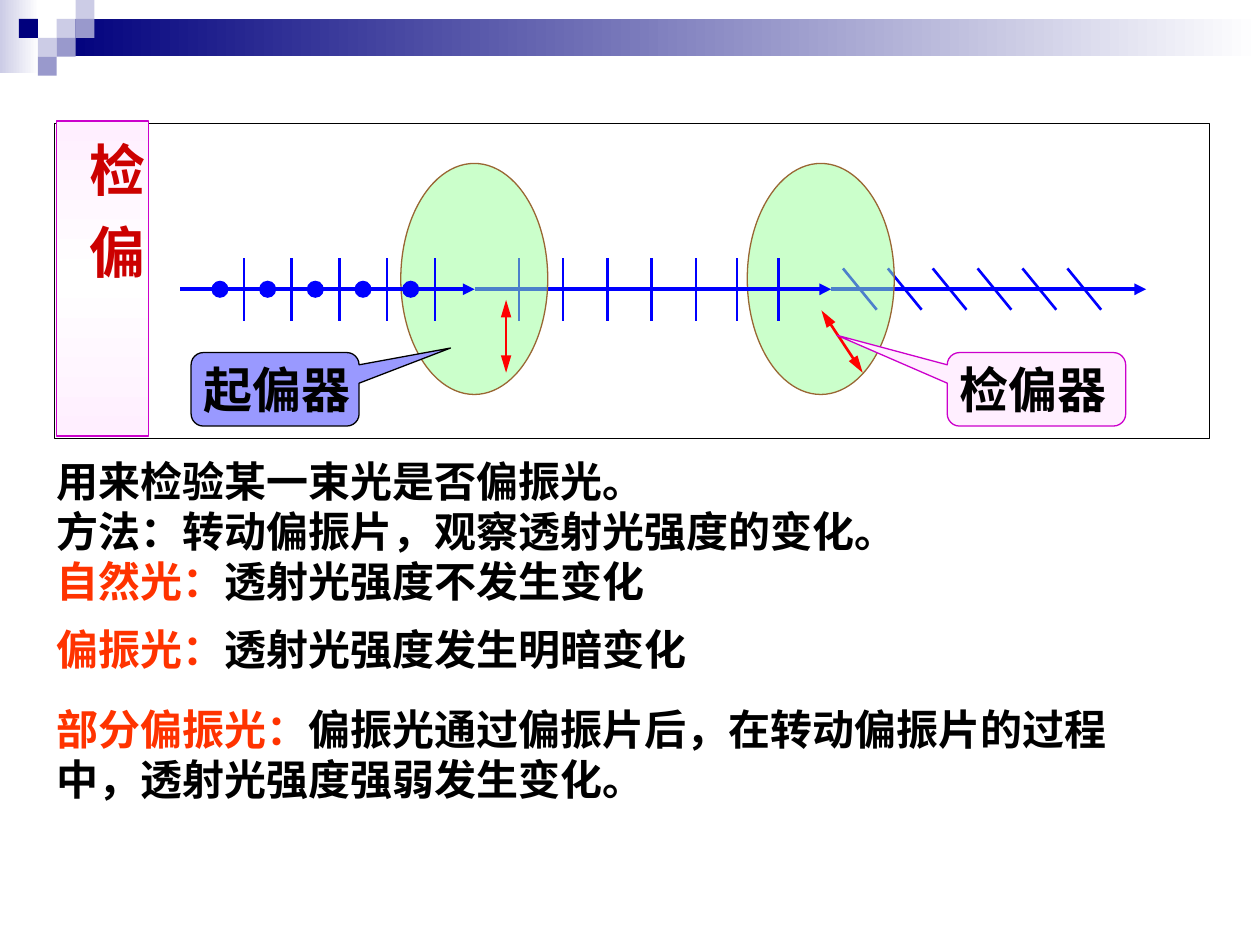
from lxml.etree import SubElement
from pptx import Presentation
from pptx.dml.color import RGBColor
from pptx.enum.shapes import MSO_CONNECTOR, MSO_SHAPE
from pptx.enum.text import MSO_ANCHOR, PP_ALIGN
from pptx.oxml.ns import qn
from pptx.util import Pt

BLACK = RGBColor(0x00, 0x00, 0x00)
WHITE = RGBColor(0xFF, 0xFF, 0xFF)
NAVY = RGBColor(0x00, 0x00, 0x7D)
MID = RGBColor(0x99, 0x99, 0xCC)
PALE = RGBColor(0xCC, 0xCC, 0xE6)
BLUE = RGBColor(0x00, 0x00, 0xFF)
RED = RGBColor(0xFF, 0x00, 0x00)
CRIMSON = RGBColor(0xCC, 0x00, 0x00)
ORANGE = RGBColor(0xFF, 0x33, 0x00)
GREEN = RGBColor(0x99, 0xFF, 0x99)
BROWN = RGBColor(0x99, 0x66, 0x33)
PINK = RGBColor(0xFF, 0xEF, 0xFF)
PURPLE = RGBColor(0xCC, 0x00, 0xCC)
LILAC = RGBColor(0x99, 0x99, 0xFF)

AXIS = 165.3  # height of the light ray


def set_all(item, values):
    for key, value in values.items():
        setattr(item, key, value)


def add_form(slide, kind, box, fill=None, line=None):
    form = slide.shapes.add_shape(kind, *map(Pt, box))
    form.shadow.inherit = False
    if fill is not None:
        form.fill.solid()
        form.fill.fore_color.rgb = fill
    if line is None:
        form.line.fill.background()
    else:
        form.line.color.rgb = line
        form.line.width = Pt(0.75)
    return form


def blend(form, colours, angle=0):
    """Fill with evenly spaced gradient stops."""
    form.fill.gradient()
    form.fill.gradient_angle = angle
    stops = form.fill._fill._gradFill.find(qn("a:gsLst"))
    for stop in list(stops):
        stops.remove(stop)
    for i, colour in enumerate(colours):
        pos = str(100000 * i // (len(colours) - 1))
        stop = SubElement(stops, qn("a:gs"), pos=pos)
        SubElement(stop, qn("a:srgbClr"), val=str(colour))


def add_line(slide, start, end, colour=BLUE, width=1.5, heads=(), size="med"):
    line = slide.shapes.add_connector(
        MSO_CONNECTOR.STRAIGHT, *map(Pt, (*start, *end)))
    line.line.color.rgb = colour
    line.line.width = Pt(width)
    for head in heads:
        SubElement(line.line._get_or_add_ln(), qn(f"a:{head}"),
                   type="triangle", w="med", len=size)
    SubElement(line._element.spPr, qn("a:effectLst"))


def add_ray(slide, left, right):
    add_line(slide, (left, AXIS), (right, AXIS), width=2.25, heads=["tailEnd"])


def add_ticks(slide, places):
    for x in places:
        add_line(slide, (x, 147.5), (x, 183.5))


def add_lens(slide, left):
    lens = add_form(slide, MSO_SHAPE.OVAL, (left, 93.4, 84, 132), GREEN, BROWN)
    colour = lens.fill._fill._solidFill.find(qn("a:srgbClr"))
    SubElement(colour, qn("a:alpha"), val="50000")


def add_swing(slide, start, end):
    add_line(slide, start, end, RED, heads=("headEnd", "tailEnd"), size="lg")


def add_run(par, text, colour, size):
    run = par.add_run()
    run.text = text
    set_all(run.font, {"name": "Times New Roman", "size": Pt(size), "bold": True})
    run.font.color.rgb = colour
    return run


def add_call(slide, text, left, width, tip, fill, line):
    call = add_form(slide, MSO_SHAPE.ROUNDED_RECTANGULAR_CALLOUT,
                    (left, 201.5, width, 42), fill, line)
    for i, value in enumerate(tip):
        call.adjustments[i] = value
    frame = call.text_frame
    set_all(frame, {"margin_left": Pt(5), "margin_right": 0, "margin_top": 0,
                    "margin_bottom": 0, "vertical_anchor": MSO_ANCHOR.MIDDLE})
    frame.paragraphs[0].alignment = PP_ALIGN.LEFT
    add_run(frame.paragraphs[0], text, BLACK, 28)


def add_text(slide, box, rows):
    """Add one paragraph per row; each row is a list of (text, colour)."""
    frame = slide.shapes.add_textbox(*map(Pt, box)).text_frame
    frame.word_wrap = True
    for i, row in enumerate(rows):
        par = frame.add_paragraph() if i else frame.paragraphs[0]
        for text, colour in row:
            add_run(par, text, colour, 24)


def add_banner(slide):
    blend(add_form(slide, MSO_SHAPE.RECTANGLE, (0, 0, 22.3, 41.8)), (PALE, WHITE))
    blend(add_form(slide, MSO_SHAPE.RECTANGLE, (32.4, 10.8, 687.6, 21.4)),
          (NAVY, WHITE))
    tiles = [(3, 1, PALE), (4, 0, PALE), (4, 1, MID), (2, 2, PALE),
             (1, 1, NAVY), (3, 2, MID), (2, 3, MID)]
    for col, row, colour in tiles:
        add_form(slide, MSO_SHAPE.RECTANGLE,
                 (10.8 * col, 10.8 * row, 10.8, 10.8), colour)


def add_label(slide):
    """Add the upright heading at the left of the diagram."""
    label = add_form(slide, MSO_SHAPE.RECTANGLE, (32.4, 69.2, 52.6, 180),
                     line=PURPLE)
    blend(label, (PINK, WHITE, PINK), 270)
    frame = label.text_frame
    set_all(frame, {"margin_left": 0, "margin_right": 0, "margin_top": Pt(12),
                    "margin_bottom": Pt(3), "vertical_anchor": MSO_ANCHOR.TOP})
    frame._txBody.bodyPr.set("vert", "eaVert")
    par = frame.paragraphs[0]
    par.alignment = PP_ALIGN.CENTER
    first = add_run(par, "检", CRIMSON, 32)
    first._r.get_or_add_rPr().set("spc", "1500")
    add_run(par, "偏", CRIMSON, 32)


def add_scheme(slide):
    add_form(slide, MSO_SHAPE.RECTANGLE, (31, 70.6, 660, 180), WHITE, BLACK)
    add_ray(slide, 475, 655)
    for i in range(6):
        x = 481.7 + 25.65 * i
        add_line(slide, (x, 153.4), (x + 19.3, 177))
    add_lens(slide, 427)
    add_swing(slide, (493, 213), (469.4, 177.4))
    add_call(slide, "检偏器", 541.3, 102, (-1.118, -0.735), PINK, PURPLE)
    add_label(slide)
    add_ray(slide, 271.2, 475)
    add_ticks(slide, [296.5 + 25.3 * i for i in range(5)] + [421.2, 445])
    add_lens(slide, 229)
    add_swing(slide, (289.2, 213), (289.2, 171.4))
    add_ray(slide, 103, 271.2)
    add_ticks(slide, [139.5 + 27.25 * i for i in range(5)])
    for i in range(5):
        add_form(slide, MSO_SHAPE.OVAL, (121.2 + 27.25 * i, 160.8, 9, 9),
                 BLUE, BLUE)
    add_call(slide, "起偏器", 109.2, 96, (1.044, -0.562), LILAC, BLACK)


def main():
    deck = Presentation()
    set_all(deck, {"slide_width": Pt(720), "slide_height": Pt(540)})
    slide = deck.slides.add_slide(deck.slide_layouts[6])
    add_banner(slide)
    add_text(slide, (25.4, 256.5, 646.6, 93.6), [
        [("用来检验某一束光是否偏振光。", BLACK)],
        [("方法：转动偏振片，观察透射光强度的变化。", BLACK)],
        [("自然光：", ORANGE), ("透射光强度不发生变化", BLACK)]])
    add_scheme(slide)
    add_text(slide, (25.4, 353, 521.3, 36), [
        [("偏振光：", ORANGE), ("透射光强度发生明暗变化", BLACK)]])
    add_text(slide, (25.4, 398.2, 635, 64.8), [
        [("部分偏振光：", ORANGE),
         ("偏振光通过偏振片后，在转动偏振片的过程中，透射光强度强弱发生变化。",
          BLACK)]])
    deck.save("out.pptx")


if __name__ == "__main__":
    main()
